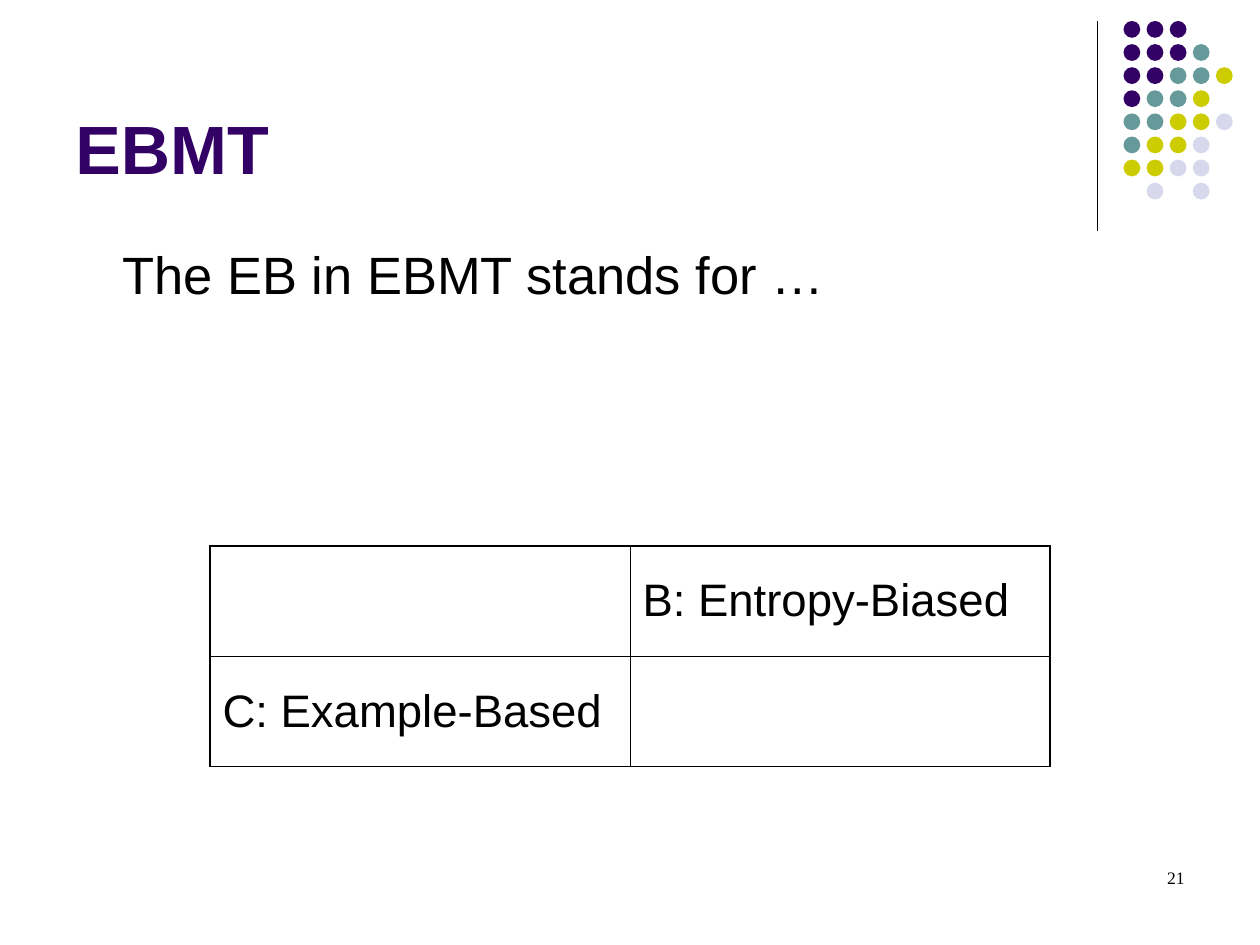
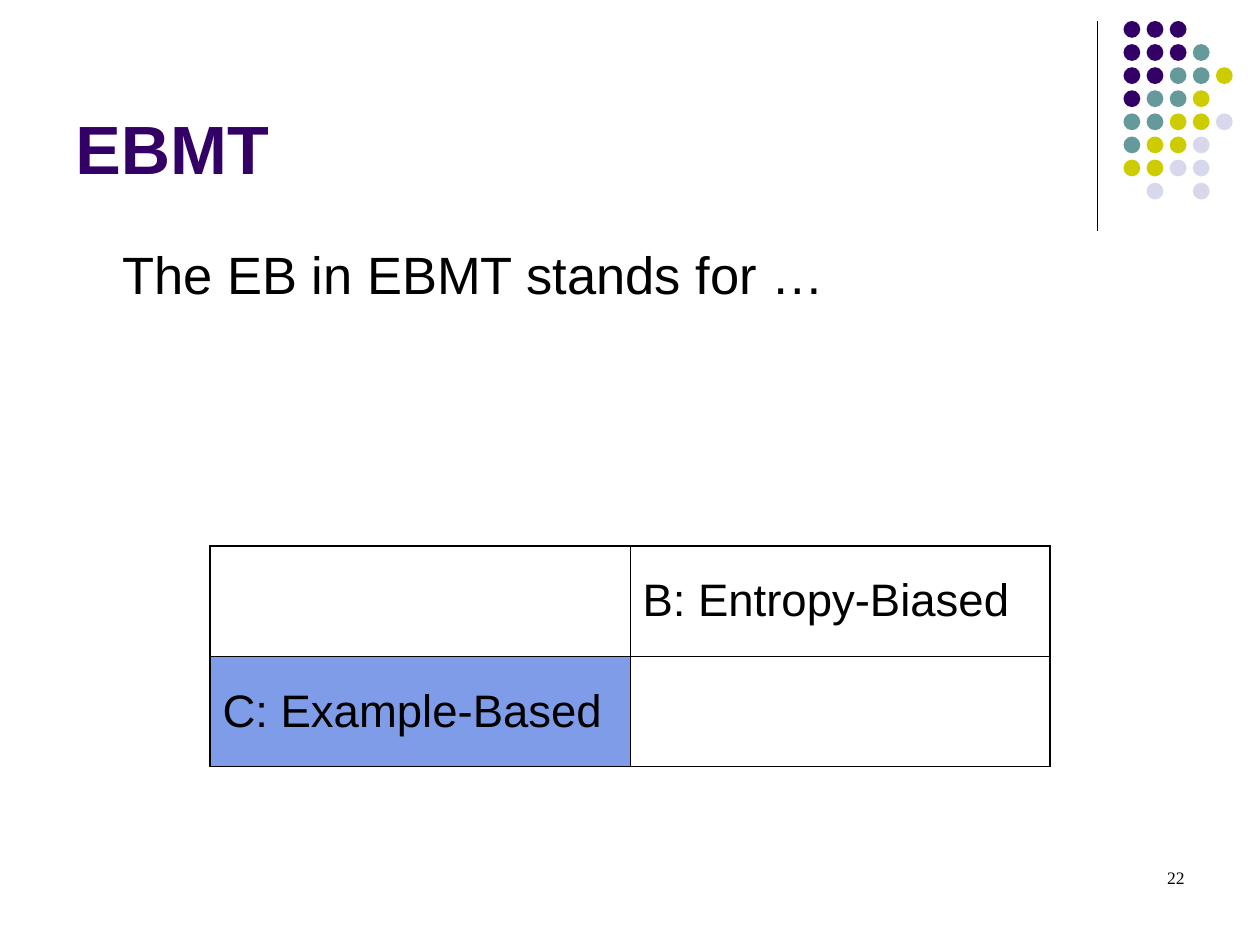
"""Build two EBMT quiz slides: the question, then the question with its answer marked."""
from dataclasses import dataclass

from lxml import etree
from pptx import Presentation
from pptx.dml.color import RGBColor
from pptx.enum.shapes import MSO_CONNECTOR, MSO_SHAPE
from pptx.enum.text import MSO_ANCHOR, PP_ALIGN
from pptx.oxml.ns import qn
from pptx.util import Inches, Pt

STRAIGHT = MSO_CONNECTOR.STRAIGHT
OVAL = MSO_SHAPE.OVAL
TOP, MIDDLE, BOTTOM = MSO_ANCHOR.TOP, MSO_ANCHOR.MIDDLE, MSO_ANCHOR.BOTTOM
LEFT, RIGHT = PP_ALIGN.LEFT, PP_ALIGN.RIGHT


@dataclass(frozen=True)
class Theme:
    ink: str = "000000"
    paper: str = "FFFFFF"
    purple: str = "330066"
    teal: str = "669999"
    lime: str = "CCCC00"
    lilac: str = "D8D8EC"
    answer: str = "7E9CE8"
    sans: str = "Arial"
    serif: str = "Times New Roman"
    title_size: float = 39
    question_size: float = 30
    option_size: float = 26
    number_size: float = 10
    rule_width: float = 0.75
    outer_border: float = 1.08
    inner_border: float = 0.45


theme = Theme()
deck = Presentation()
deck.slide_width, deck.slide_height = Inches(10), Inches(7.5)
blank_layout = deck.slide_layouts[6]
COLUMNS = 60
unit = deck.slide_width / COLUMNS


def grid(*steps):
    return [round(step * unit) for step in steps]


def write(frame, text, font, colour, paragraph):
    para = frame.paragraphs[0]
    for name, value in paragraph.items():
        setattr(para, name, value)
    span = para.add_run()
    span.text = text
    for name, value in font.items():
        setattr(span.font, name, value)
    span.font.color.rgb = RGBColor.from_string(colour)
    return para


title_font = {"name": theme.sans, "size": Pt(theme.title_size), "bold": True}
question_font = {"name": theme.sans, "size": Pt(theme.question_size)}
option_font = {"name": theme.sans, "size": Pt(theme.option_size)}
number_font = {"name": theme.serif, "size": Pt(theme.number_size)}
insets = {"margin_left": Inches(0.1), "margin_right": Inches(0.1),
          "margin_top": Inches(0.05), "margin_bottom": Inches(0.05)}

dot_colours = {"P": theme.purple, "T": theme.teal, "L": theme.lime, "V": theme.lilac}
dot_rows = ["PPP", "PPPT", "PPTTL", "PTTL", "TTLLV", "TLLV", "LLVV", ".V.V"]
DOT_LEFT, DOT_TOP, DOT_PITCH, DOT_SIZE = 53.5, 1, 1.1, 0.8

options = [["", "B: Entropy-Biased"], ["C: Example-Based", ""]]
answer_cell = (1, 0)
last = len(options) - 1

for number, answer_shown in [(21, False), (22, True)]:
    page = deck.slides.add_slide(blank_layout)

    rule = page.shapes.add_connector(STRAIGHT, *grid(52.25, 1, 52.25, 11))
    rule.line.color.rgb = RGBColor.from_string(theme.ink)
    rule.line.width = Pt(theme.rule_width)
    etree.SubElement(rule._element.spPr, qn("a:effectLst"))

    for row, letters in enumerate(dot_rows):
        for column, letter in enumerate(letters):
            if letter in dot_colours:
                dot = page.shapes.add_shape(OVAL, *grid(
                    DOT_LEFT + column * DOT_PITCH, DOT_TOP + row * DOT_PITCH, DOT_SIZE, DOT_SIZE))
                dot.shadow.inherit = False
                dot.fill.solid()
                dot.fill.fore_color.rgb = RGBColor.from_string(dot_colours[letter])
                dot.line.fill.background()

    for text, place, anchor, font, colour, paragraph, indent in [
        ("EBMT", (3, 0.75, 49.5, 8.5), BOTTOM, title_font, theme.purple, {"alignment": LEFT}, 0),
        ("The EB in EBMT stands for …", (3, 11.25, 54, 11.25), TOP, question_font, theme.ink,
         {"alignment": LEFT, "space_before": Pt(7.5)}, 2.25),
        (str(number), (43, 41, 14, 3), TOP, number_font, theme.ink, {"alignment": RIGHT}, 1.5),
    ]:
        box = page.shapes.add_textbox(*grid(*place))
        for name, value in {**insets, "word_wrap": True, "vertical_anchor": anchor}.items():
            setattr(box.text_frame, name, value)
        para = write(box.text_frame, text, font, colour, paragraph)
        para._p.get_or_add_pPr().set("marL", str(grid(indent)[0]))

    table = page.shapes.add_table(2, 2, *grid(10, 26, 40, 10.5)).table
    table.first_row = table.horz_banding = False
    for row, texts in enumerate(options):
        for column, text in enumerate(texts):
            cell = table.cell(row, column)
            for name, value in {**insets, "vertical_anchor": MIDDLE}.items():
                setattr(cell, name, value)
            outer_sides = {"lnL": column == 0, "lnR": column == last,
                           "lnT": row == 0, "lnB": row == last}
            for side, is_outer in outer_sides.items():
                width = theme.outer_border if is_outer else theme.inner_border
                border = etree.SubElement(cell._tc.get_or_add_tcPr(), qn(f"a:{side}"), w=str(Pt(width)))
                paint = etree.SubElement(border, qn("a:solidFill"))
                etree.SubElement(paint, qn("a:srgbClr"), val=theme.ink)
            marked = answer_shown and (row, column) == answer_cell
            cell.fill.solid()
            cell.fill.fore_color.rgb = RGBColor.from_string(theme.answer if marked else theme.paper)
            if text:
                write(cell.text_frame, text, option_font, theme.ink, {"space_before": Pt(6.5)})

deck.save("out.pptx")
